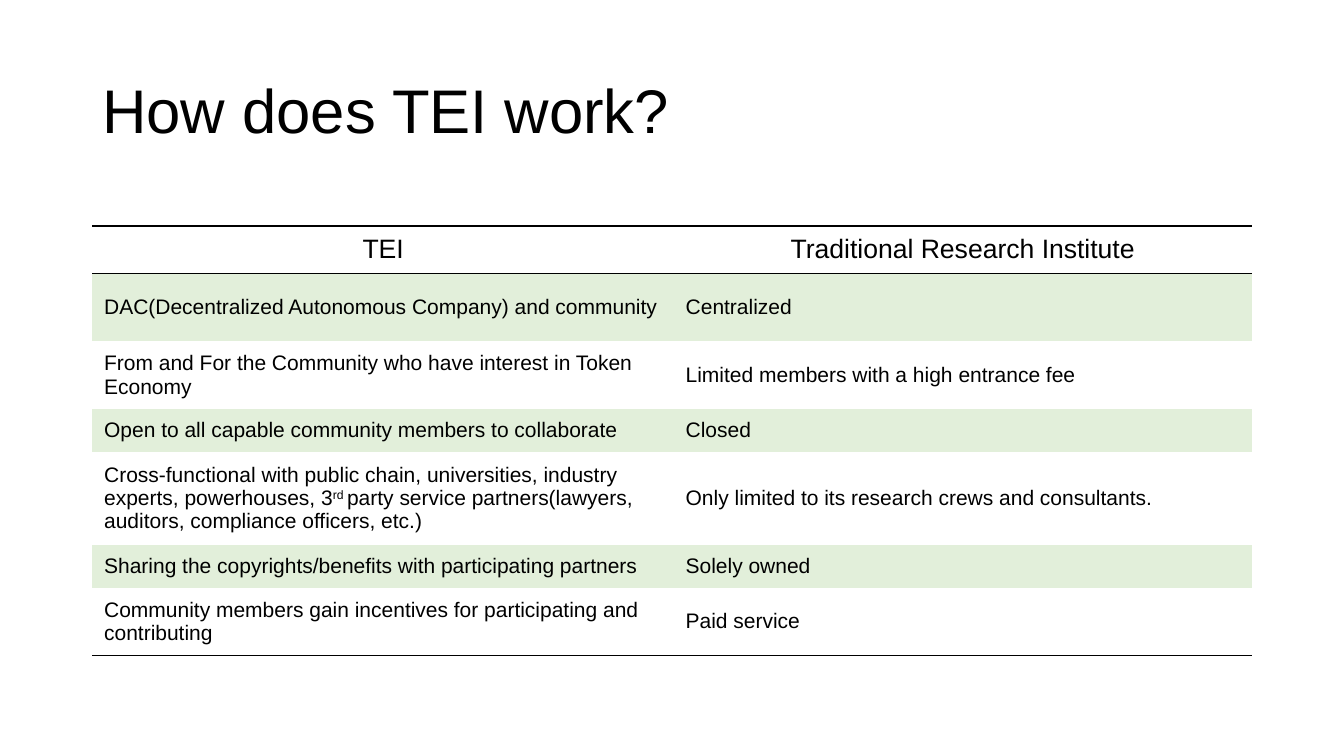
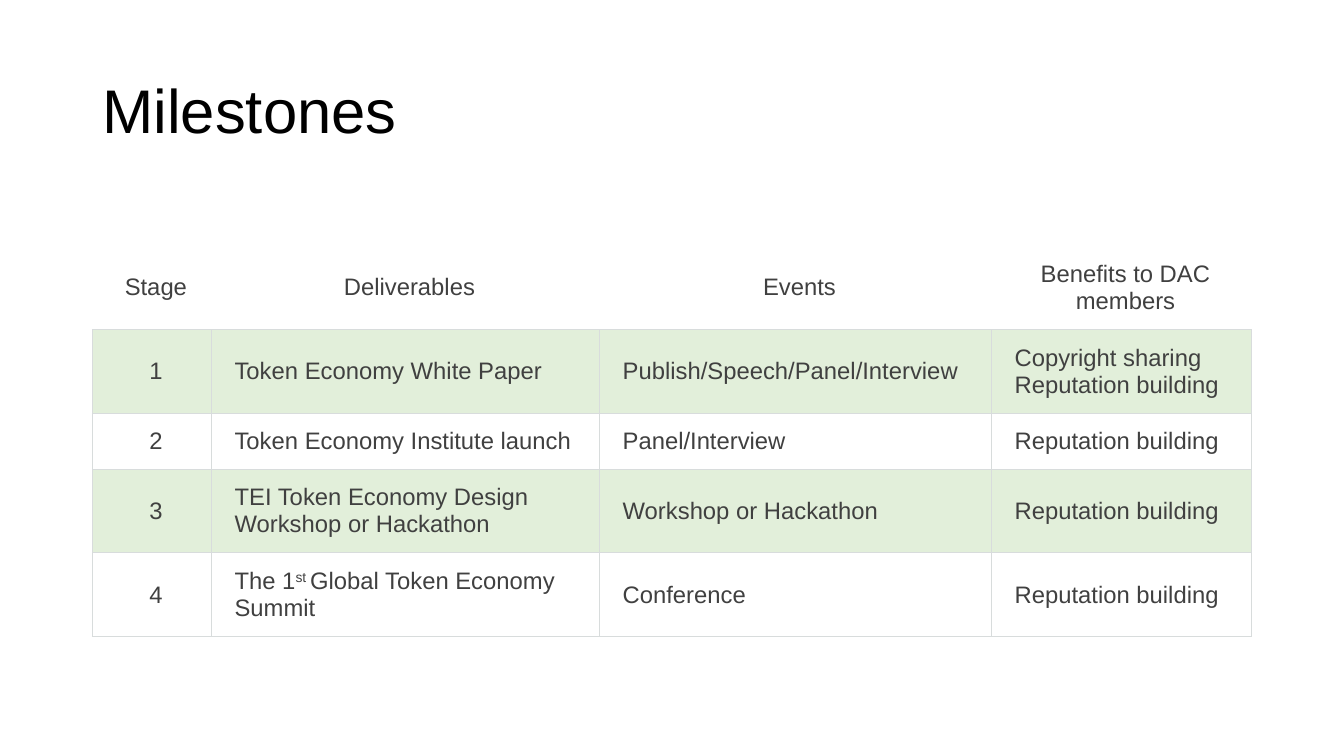
"""Build two slides, each a title above a banded table."""
from lxml import etree
from pptx import Presentation
from pptx.dml.color import RGBColor
from pptx.enum import text as tx
from pptx.oxml import ns
from pptx.util import Pt

FONT, BLACK, GRAY, BAND = "Arial", "000000", "404040", "E2EFDA"
LEFT, WIDTH = 66, 828

SLIDES = [
    dict(
        title="How does TEI work?", top=161.4, ink=BLACK, sizes=(19, 15),
        cols=(415.4, 412.6), heights=(33.8, 48.5, 48.5, 30.4, 66.8, 30.4, 48.5),
        pads=(8.4, 4.2, 8.4, 4.2), line=(BLACK, 1), rules=(0, 1, 7),
        grid=False, mid=0,
        rows=[
            ("TEI", "Traditional Research Institute"),
            ("DAC(Decentralized Autonomous Company) and community", "Centralized"),
            ("From and For the Community who have interest in Token Economy",
             "Limited members with a high entrance fee"),
            ("Open to all capable community members to collaborate", "Closed"),
            ("Cross-functional with public chain, universities, industry experts, "
             "powerhouses, 3^rd ^party service partners(lawyers, auditors, "
             "compliance officers, etc.)",
             "Only limited to its research crews and consultants."),
            ("Sharing the copyrights/benefits with participating partners",
             "Solely owned"),
            ("Community members gain incentives for participating and contributing",
             "Paid service"),
        ]),
    dict(
        title="Milestones", top=175.4, ink=GRAY, sizes=(17, 17),
        cols=(85, 277.2, 280, 185.8), heights=(60, 60, 39.6, 60, 60),
        pads=(16.6, 8, 10.8, 8), line=("D8DCDC", 0.75), rules=(1, 2, 3, 4, 5),
        grid=True, mid=1,
        rows=[
            ("Stage", "Deliverables", "Events", "Benefits to DAC members"),
            ("1", "Token Economy White Paper", "Publish/Speech/Panel/Interview",
             "Copyright sharing\nReputation building"),
            ("2", "Token Economy Institute launch", "Panel/Interview",
             "Reputation building"),
            ("3", "TEI Token Economy Design Workshop or Hackathon",
             "Workshop or Hackathon", "Reputation building"),
            ("4", "The 1^st ^Global Token Economy Summit", "Conference",
             "Reputation building"),
        ]),
]


def color(code):
    """Turn a hex string into a colour."""
    return RGBColor.from_string(code)


def write(frame, words, size, ink, align=tx.PP_ALIGN.LEFT, space=1.0):
    """Write paragraphs split at newlines, with superscripts between carets."""
    for i, line in enumerate(words.split("\n")):
        para = frame.add_paragraph() if i else frame.paragraphs[0]
        para.alignment, para.line_spacing = align, space
        for j, part in enumerate(line.split("^")):
            run = para.add_run()
            run.text = part
            font = run.font
            font.name, font.size, font.color.rgb = FONT, Pt(size), color(ink)
            if j % 2:
                run._r.get_or_add_rPr().set("baseline", "30000")


def edge(cell, sides, line):
    """Draw the listed sides of a cell and clear the others."""
    props = cell._tc.get_or_add_tcPr()
    for i, side in enumerate("LRTB"):
        ln = etree.Element(ns.qn("a:ln" + side), w=str(Pt(line[1])))
        if side in sides:
            fill = etree.SubElement(ln, ns.qn("a:solidFill"))
            etree.SubElement(fill, ns.qn("a:srgbClr"), val=line[0])
        else:
            etree.SubElement(ln, ns.qn("a:noFill"))
        props.insert(i, ln)


def add_title(slide, words):
    """Add the slide title."""
    box = slide.shapes.add_textbox(Pt(LEFT), Pt(28.8), Pt(WIDTH), Pt(104.4))
    frame = box.text_frame
    frame.word_wrap = True
    frame.vertical_anchor = tx.MSO_ANCHOR.MIDDLE
    write(frame, words, 44, BLACK, space=0.9)


def add_grid(slide, data):
    """Add the banded table."""
    rows, cols = data["rows"], data["cols"]
    table = slide.shapes.add_table(
        len(rows), len(cols), Pt(LEFT), Pt(data["top"]),
        Pt(WIDTH), Pt(sum(data["heights"]))).table
    table.first_row = table.horz_banding = False
    for col, width in zip(table.columns, cols):
        col.width = Pt(width)
    for r, row in enumerate(rows):
        table.rows[r].height = Pt(data["heights"][r])
        sides = "T" * (r in data["rules"]) + "B" * (r + 1 in data["rules"])
        if data["grid"] and r:
            sides += "LR"
        for c, words in enumerate(row):
            cell = table.cell(r, c)
            cell.vertical_anchor = tx.MSO_ANCHOR.MIDDLE
            (cell.margin_left, cell.margin_top,
             cell.margin_right, cell.margin_bottom) = map(Pt, data["pads"])
            if r % 2:
                cell.fill.solid()
                cell.fill.fore_color.rgb = color(BAND)
            else:
                cell.fill.background()
            edge(cell, sides, data["line"])
            mid = r == 0 or c < data["mid"]
            align = tx.PP_ALIGN.CENTER if mid else tx.PP_ALIGN.LEFT
            write(cell.text_frame, words, data["sizes"][r > 0], data["ink"], align)


def main():
    """Build and save the deck."""
    deck = Presentation()
    deck.slide_width, deck.slide_height = Pt(960), Pt(540)
    for data in SLIDES:
        slide = deck.slides.add_slide(deck.slide_layouts[6])
        add_title(slide, data["title"])
        add_grid(slide, data)
    deck.save("out.pptx")


if __name__ == "__main__":
    main()
